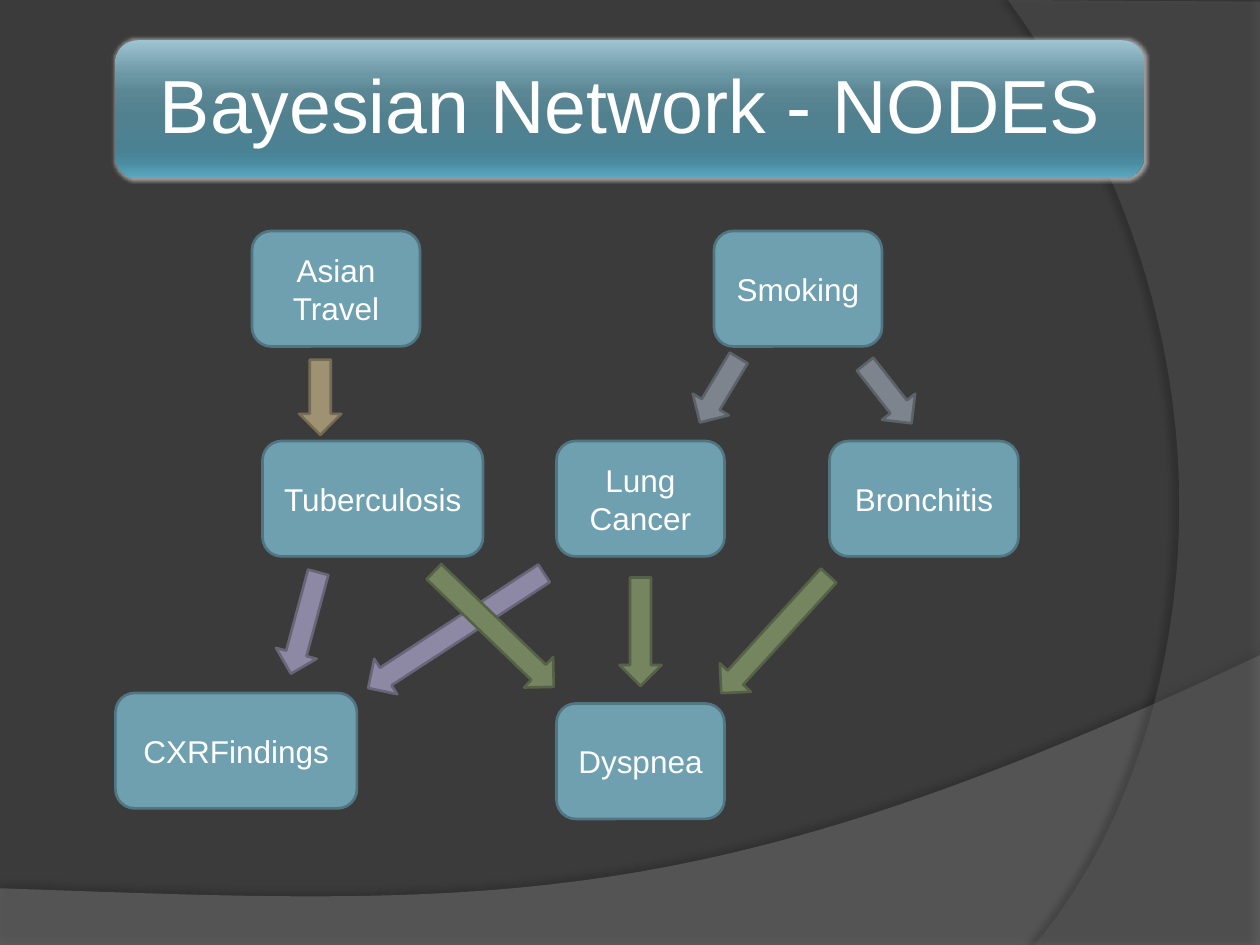
from lxml.etree import SubElement
from pptx import Presentation
from pptx.dml.color import RGBColor
from pptx.enum.shapes import MSO_SHAPE
from pptx.enum.text import MSO_ANCHOR, MSO_AUTO_SIZE, PP_ALIGN
from pptx.oxml import parse_xml
from pptx.oxml.ns import nsdecls, qn
from pptx.util import Pt

BACKGROUND = RGBColor(0x3B, 0x3B, 0x3B)
WHITE = RGBColor(0xFF, 0xFF, 0xFF)
WAVE = RGBColor(0x7F, 0x7F, 0x7F)
ARC = RGBColor(0x5E, 0x5E, 0x5E)
TEAL = RGBColor(0x6E, 0xA0, 0xB0), RGBColor(0x51, 0x76, 0x82)
TAN = RGBColor(0x9E, 0x92, 0x73), RGBColor(0x75, 0x6C, 0x55)
GREY = RGBColor(0x7E, 0x84, 0x8D), RGBColor(0x5D, 0x62, 0x68)
PURPLE = RGBColor(0x8D, 0x89, 0xA4), RGBColor(0x68, 0x65, 0x79)
GREEN = RGBColor(0x74, 0x85, 0x60), RGBColor(0x56, 0x62, 0x47)

FONT = "Arial"
TITLE = "Bayesian Network - NODES"
TITLE_BOX = 66, 23, 588, 79
TITLE_STOPS = [
    (0, "9EC4D2"), (25, "6C97A5"), (38, "5B8694"), (55, "51808F"),
    (80, "4A8294"), (88, "4A8BA0"), (100, "5DAAC2"),
]

NODE_HEIGHT = 66
NODES = [  # text, left, top, width
    ("Asian Travel", 144, 132, 96),
    ("Smoking", 408, 132, 96),
    ("Dyspnea", 318, 402, 96),
    ("Tuberculosis", 150, 252, 126),
    ("Lung Cancer", 318, 252, 96),
    ("CXRFindings", 66, 396, 138),
    ("Bronchitis", 474, 252, 108),
]

ARROW_HEIGHT = 24
ARROWS = [  # centre x, centre y, length, rotation, colours
    (411, 223, 43, 121, GREY),
    (366, 361, 62, 90, GREEN),
    (507.6, 225, 43, 51.8, GREY),
    (442.8, 362.5, 91, 132.4, GREEN),
    (183, 227, 43, 90, TAN),
    (174, 356, 60, 105.1, PURPLE),
    (260.6, 360.4, 120, 146.9, PURPLE),
    (282.2, 359.6, 95, 43.9, GREEN),
]

WAVE_CURVE = (720, 374.4), (402.5, 524.9), (281.5, 517.7), (0, 507.6)
ARC_CURVE = (591, 540), (673, 445.7), (733, 216), (576, 0)


def bezier(a, b, c, d, steps=60):
    points = []
    for i in range(steps + 1):
        t = i / steps
        u = 1 - t
        weights = u**3, 3 * u * u * t, 3 * u * t * t, t**3
        points.append(tuple(sum(w * p[k] for w, p in zip(weights, (a, b, c, d)))
                            for k in (0, 1)))
    return points


def add_effect(s, xml):
    s._element.spPr.append(parse_xml(
        f'<a:effectLst {nsdecls("a")}>{xml}</a:effectLst>'))


def add_backdrop(slide, points, color, alpha, shade, distance, direction):
    (x, y), *rest = [(Pt(x), Pt(y)) for x, y in points]
    builder = slide.shapes.build_freeform(x, y)
    builder.add_line_segments(rest)
    s = builder.convert_to_shape()
    s.fill.solid()
    s.fill.fore_color.rgb = color
    clr = s._element.spPr.find(qn("a:solidFill"))[0]
    SubElement(clr, qn("a:alpha"), val=str(alpha * 1000))
    s.line.fill.background()
    add_effect(s, f'<a:outerShdw blurRad="{Pt(4)}" dist="{Pt(distance)}" '
                  f'dir="{direction * 60000}"><a:srgbClr val="000000">'
                  f'<a:alpha val="{shade * 1000}"/></a:srgbClr></a:outerShdw>')


def add_block(slide, kind, box, colors):
    s = slide.shapes.add_shape(kind, *map(Pt, box))
    s.shadow.inherit = False
    s.fill.solid()
    s.fill.fore_color.rgb, s.line.color.rgb = colors
    s.line.width = Pt(1.5)
    return s


def set_text(s, text, size):
    tf = s.text_frame
    tf.word_wrap = True
    tf.vertical_anchor = MSO_ANCHOR.MIDDLE
    p = tf.paragraphs[0]
    p.text = text
    p.alignment = PP_ALIGN.CENTER
    p.font.name = FONT
    p.font.size = Pt(size)
    p.font.color.rgb = WHITE
    return tf


def add_title(slide):
    panel = slide.shapes.add_shape(MSO_SHAPE.ROUNDED_RECTANGLE, *map(Pt, TITLE_BOX))
    panel.line.fill.background()
    panel.fill.gradient()
    panel.fill.gradient_angle = 270
    stops = panel._element.spPr.find(qn("a:gradFill")).find(qn("a:gsLst"))
    for stop in list(stops):
        stops.remove(stop)
    for position, color in TITLE_STOPS:
        stop = SubElement(stops, qn("a:gs"), pos=str(position * 1000))
        SubElement(stop, qn("a:srgbClr"), val=color)
    add_effect(panel, f'<a:glow rad="{Pt(3)}"><a:srgbClr val="FFFFFF">'
                      '<a:alpha val="50000"/></a:srgbClr></a:glow>')

    title = slide.shapes.title
    title.left, title.top, title.width, title.height = map(Pt, TITLE_BOX)
    tf = set_text(title, TITLE, 43)
    tf.auto_size = MSO_AUTO_SIZE.NONE
    tf.margin_left = tf.margin_right = tf.margin_top = tf.margin_bottom = Pt(13)
    tf.paragraphs[0].line_spacing = 0.9
    panel._element.addnext(title._element)


def main():
    prs = Presentation()
    prs.slide_width, prs.slide_height = Pt(720), Pt(540)
    slide = prs.slides.add_slide(prs.slide_layouts[5])
    slide.background.fill.solid()
    slide.background.fill.fore_color.rgb = BACKGROUND

    add_backdrop(slide, [(0, 540), (720, 540)] + bezier(*WAVE_CURVE),
                 WAVE, 45, 35, 3.5, 270)
    add_backdrop(slide, [(720, 1), (720, 540)] + bezier(*ARC_CURVE),
                 ARC, 40, 45, 4, 180)

    for text, left, top, width in NODES:
        s = add_block(slide, MSO_SHAPE.ROUNDED_RECTANGLE,
                      (left, top, width, NODE_HEIGHT), TEAL)
        set_text(s, text, 18)

    for x, y, length, rotation, colors in ARROWS:
        box = x - length / 2, y - ARROW_HEIGHT / 2, length, ARROW_HEIGHT
        s = add_block(slide, MSO_SHAPE.RIGHT_ARROW, box, colors)
        s.rotation = rotation

    add_title(slide)
    prs.save("out.pptx")


if __name__ == "__main__":
    main()
